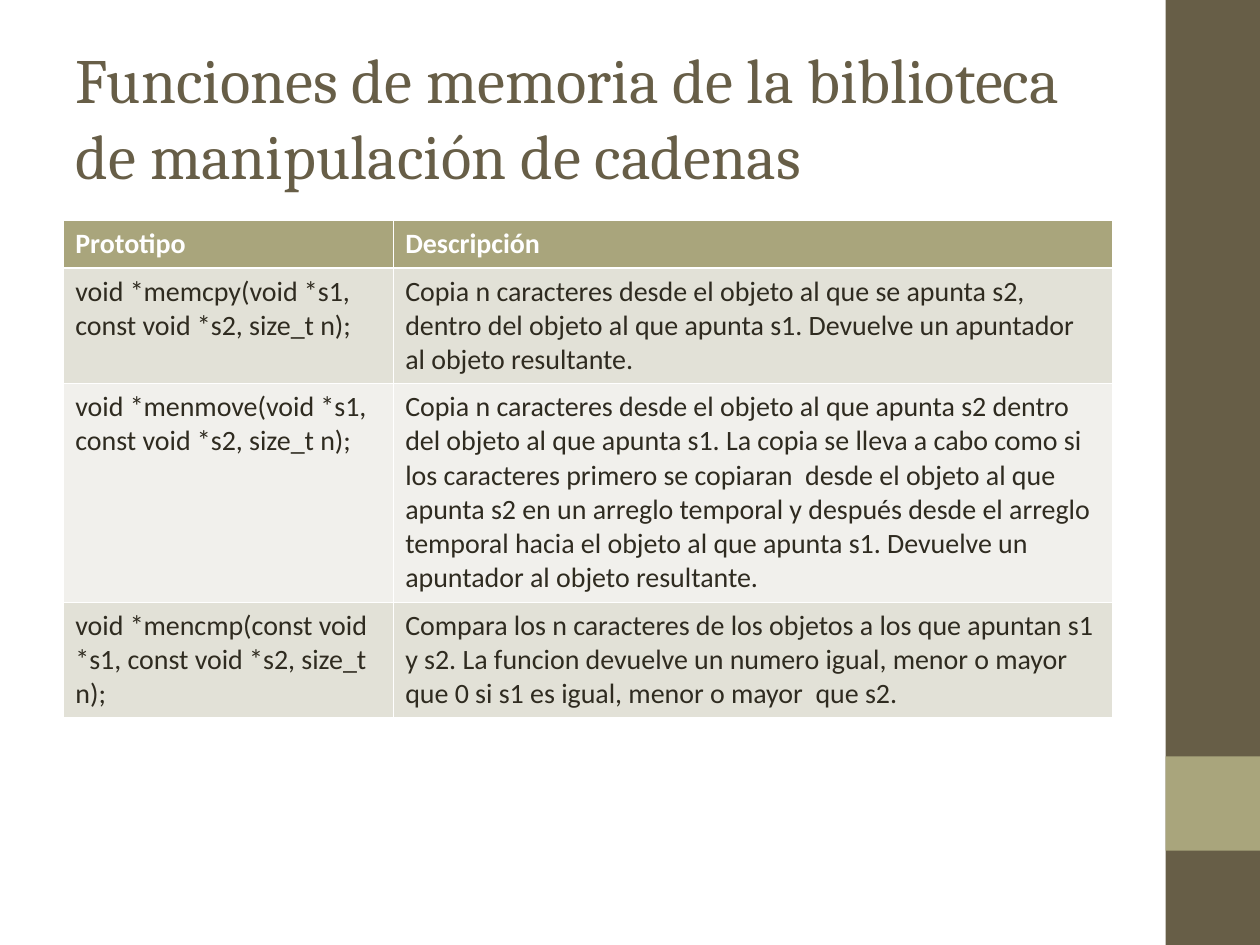
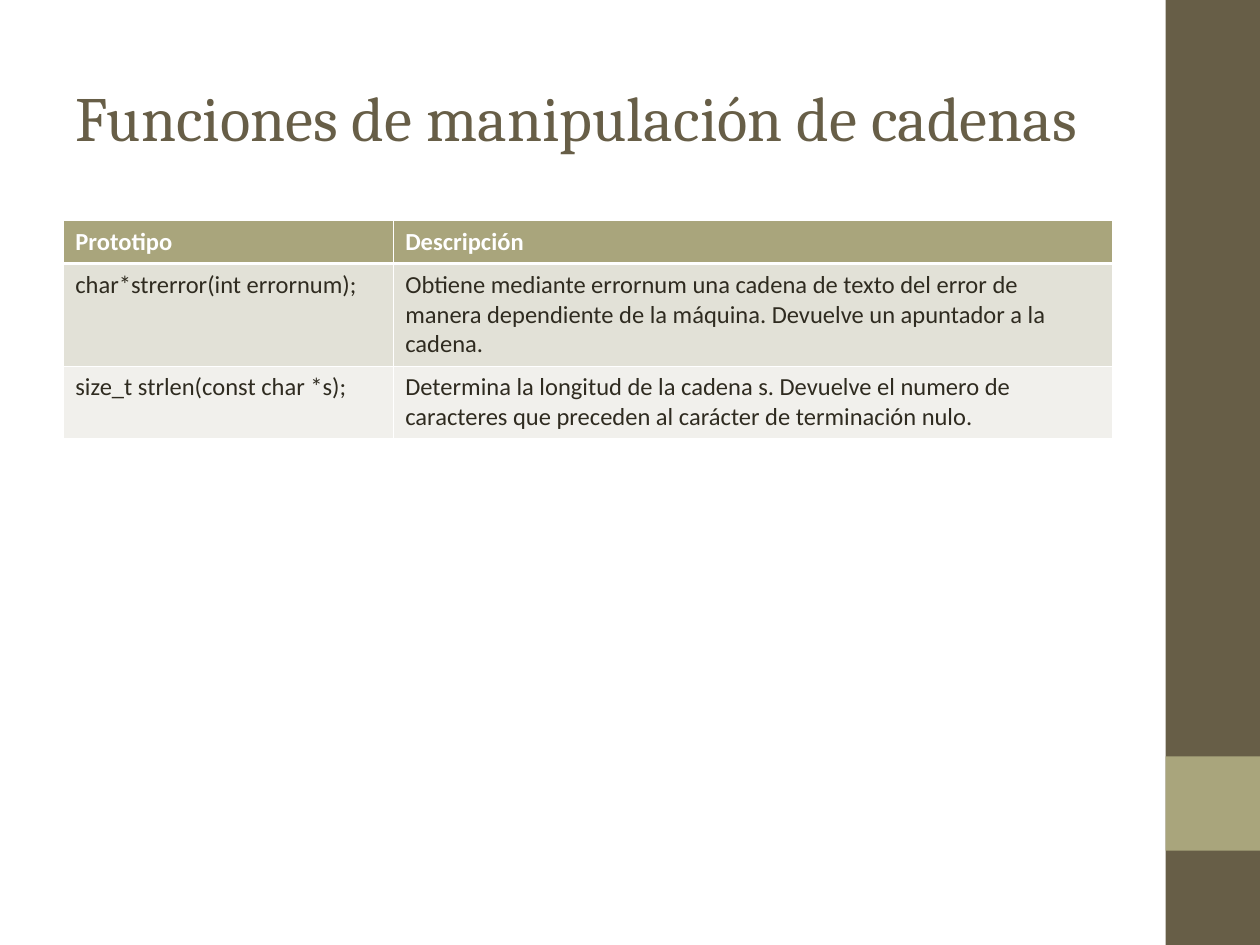
from dataclasses import dataclass

from lxml import etree
from pptx import Presentation
from pptx.dml.color import RGBColor
from pptx.enum.shapes import MSO_SHAPE
from pptx.enum.text import MSO_ANCHOR, MSO_AUTO_SIZE, PP_ALIGN
from pptx.oxml.ns import qn
from pptx.util import Cm, Pt

RECTANGLE = MSO_SHAPE.RECTANGLE
MIDDLE = MSO_ANCHOR.MIDDLE
NO_AUTOFIT = MSO_AUTO_SIZE.NONE
LEFT = PP_ALIGN.LEFT

HEADINGS = ("Prototipo", "Descripción")

SLIDES = [
    {
        "title": "Funciones de memoria de la biblioteca de manipulación de cadenas",
        "text_size": 16,
        "functions": [
            ("void *memcpy(void *s1, const void *s2, size_t n);",
             "Copia n caracteres desde el objeto al que se apunta s2, dentro del objeto "
             "al que apunta s1. Devuelve un apuntador al objeto resultante."),
            ("void *menmove(void *s1, const void *s2, size_t n);",
             "Copia n caracteres desde el objeto al que apunta s2 dentro del objeto al que "
             "apunta s1. La copia se lleva a cabo como si los caracteres primero se "
             "copiaran  desde el objeto al que apunta s2 en un arreglo temporal y después "
             "desde el arreglo temporal hacia el objeto al que apunta s1. Devuelve un "
             "apuntador al objeto resultante."),
            ("void *mencmp(const void *s1, const void *s2, size_t n);",
             "Compara los n caracteres de los objetos a los que apuntan s1 y s2. La funcion "
             "devuelve un numero igual, menor o mayor que 0 si s1 es igual, menor o mayor  "
             "que s2."),
        ],
        "line_counts": (1, 3, 6, 3),
    },
    {
        "title": "Funciones de manipulación de cadenas",
        "text_size": 14,
        "functions": [
            ("char*strerror(int errornum);",
             "Obtiene mediante errornum una cadena de texto del error de manera dependiente "
             "de la máquina. Devuelve un apuntador a la cadena."),
            ("size_t strlen(const char *s);",
             "Determina la longitud de la cadena s. Devuelve el numero de caracteres que "
             "preceden al carácter de terminación nulo."),
        ],
        "line_counts": (1, 3, 2),
    },
]


@dataclass(frozen=True)
class Theme:
    dark: RGBColor = RGBColor.from_string("675E47")
    accent: RGBColor = RGBColor.from_string("A9A57C")
    ink: RGBColor = RGBColor.from_string("2F2B20")
    white: RGBColor = RGBColor.from_string("FFFFFF")
    row_fills: tuple = (RGBColor.from_string("E2E1D7"), RGBColor.from_string("F1F0EC"))
    title_font: str = "Cambria"
    body_font: str = "Calibri"
    title_size: int = 36
    line_height: float = 1.22
    thin: float = 0.45
    thick: float = 1.47


THEME = Theme()
PAGE_WIDTH, PAGE_HEIGHT = Cm(25.4), Cm(19.05)
BAND_SIZE = Cm(1.9)
MARGIN_LEFT = Cm(1.27)
COLUMN_WIDTHS = (Cm(6.65), Cm(14.51))
CONTENT_WIDTH = sum(COLUMN_WIDTHS)
TITLE_TOP, TITLE_HEIGHT = Cm(0.76), Cm(3.18)
TABLE_TOP = Cm(4.45)
CELL_PADDING = {"margin_left": Cm(0.25), "margin_right": Cm(0.25),
                "margin_top": Cm(0.13), "margin_bottom": Cm(0.13)}


def set_values(target, values):
    for name, value in values.items():
        setattr(target, name, value)


def write(frame, text, color, **font_values):
    para = frame.paragraphs[0]
    para.alignment = LEFT
    span = para.add_run()
    span.text = text
    set_values(span.font, font_values)
    span.font.color.rgb = color


def add_band(page, top, height, color):
    band = page.shapes.add_shape(RECTANGLE, PAGE_WIDTH - BAND_SIZE, top, BAND_SIZE, height)
    band.shadow.inherit = False
    band.fill.solid()
    band.fill.fore_color.rgb = color
    band.line.fill.background()


def place_title(page, text):
    title = page.shapes.title
    set_values(title, {"left": MARGIN_LEFT, "top": TITLE_TOP,
                       "width": CONTENT_WIDTH, "height": TITLE_HEIGHT})
    set_values(title.text_frame, {"word_wrap": True, "auto_size": NO_AUTOFIT,
                                  "vertical_anchor": MIDDLE})
    write(title.text_frame, text, THEME.dark,
          name=THEME.title_font, size=Pt(THEME.title_size))


def add_borders(cell, widths):
    properties = cell._tc.get_or_add_tcPr()
    for index, (side, width) in enumerate(widths.items()):
        line = etree.Element(qn(f"a:ln{side}"), w=str(Pt(width)))
        fill = etree.SubElement(line, qn("a:solidFill"))
        etree.SubElement(fill, qn("a:srgbClr"), val=str(THEME.white))
        properties.insert(index, line)


def add_function_table(page, functions, text_size, line_counts):
    rows = [HEADINGS, *functions]
    padding = CELL_PADDING["margin_top"] + CELL_PADDING["margin_bottom"]
    heights = [int(count * Pt(text_size) * THEME.line_height) + padding
               for count in line_counts]
    table = page.shapes.add_table(len(rows), len(HEADINGS), MARGIN_LEFT, TABLE_TOP,
                                  CONTENT_WIDTH, sum(heights)).table
    for column, width in zip(table.columns, COLUMN_WIDTHS):
        column.width = width
    for row_index, (texts, height) in enumerate(zip(rows, heights)):
        table.rows[row_index].height = height
        is_header = row_index == 0
        fill = THEME.accent if is_header else THEME.row_fills[(row_index - 1) % 2]
        borders = {"L": THEME.thin, "R": THEME.thin,
                   "T": THEME.thick if row_index == 1 else THEME.thin,
                   "B": THEME.thick if is_header else THEME.thin}
        for column_index, text in enumerate(texts):
            cell = table.cell(row_index, column_index)
            set_values(cell, CELL_PADDING)
            cell.fill.solid()
            cell.fill.fore_color.rgb = fill
            add_borders(cell, borders)
            write(cell.text_frame, text, THEME.white if is_header else THEME.ink,
                  name=THEME.body_font, size=Pt(text_size), bold=is_header)


def main():
    deck = Presentation()
    set_values(deck, {"slide_width": PAGE_WIDTH, "slide_height": PAGE_HEIGHT})
    title_only = deck.slide_layouts.get_by_name("Title Only")
    for content in SLIDES:
        page = deck.slides.add_slide(title_only)
        add_band(page, 0, PAGE_HEIGHT, THEME.dark)
        add_band(page, PAGE_HEIGHT - 2 * BAND_SIZE, BAND_SIZE, THEME.accent)
        place_title(page, content["title"])
        add_function_table(page, content["functions"], content["text_size"],
                           content["line_counts"])
    deck.save("out.pptx")


if __name__ == "__main__":
    main()
